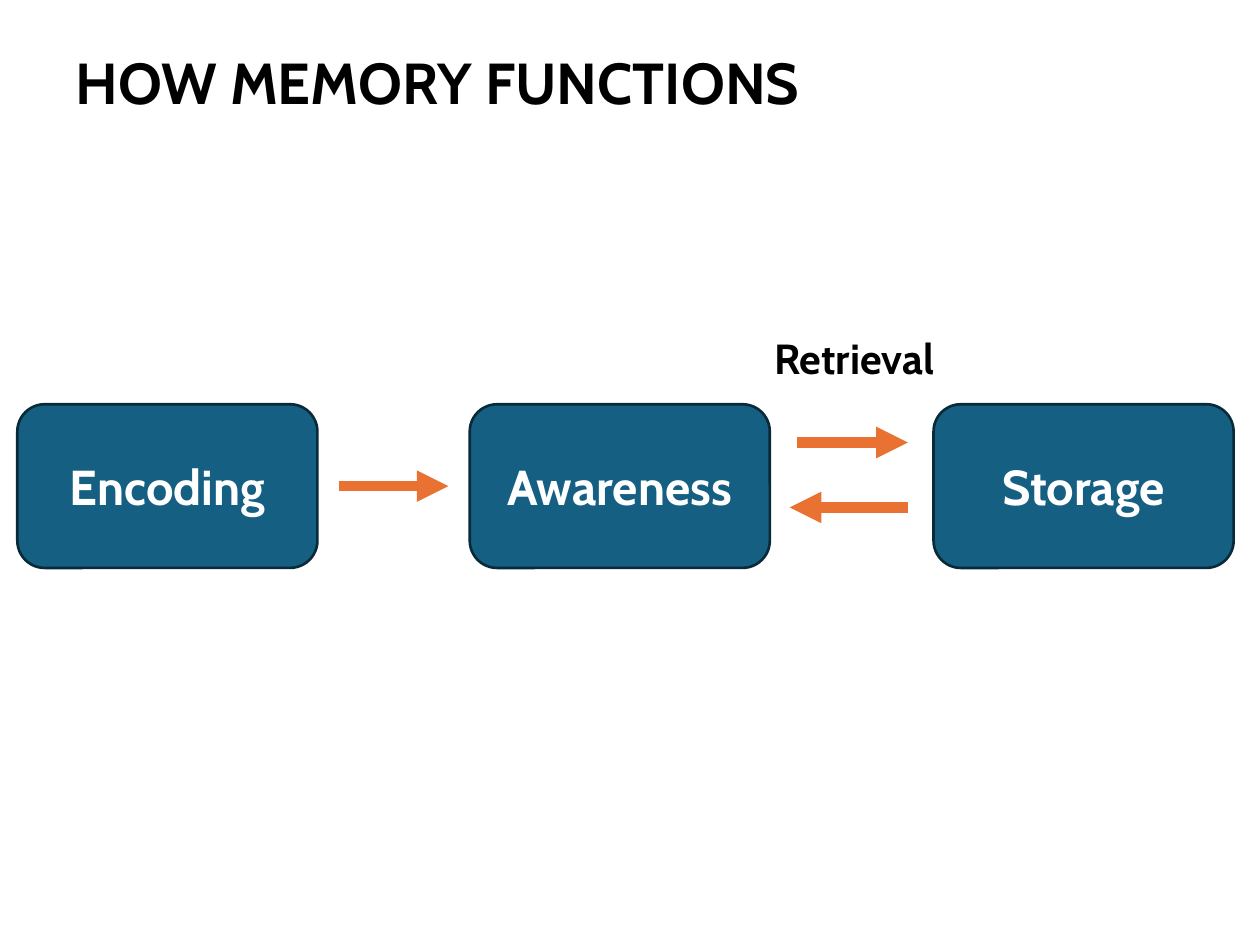
from lxml import etree
from pptx import Presentation
from pptx.dml.color import RGBColor
from pptx.enum.shapes import MSO_CONNECTOR, MSO_SHAPE
from pptx.enum.text import MSO_ANCHOR, PP_ALIGN
from pptx.oxml.ns import qn
from pptx.util import Cm, Pt

FONT = "Cabin"
BLACK, WHITE = "000000", "FFFFFF"
BLUE, NAVY, ORANGE = "156082", "092A39", "E97132"
STAGE_WIDTH, STAGE_HEIGHT = 6.05, 3.3
STAGES = [("Encoding", 0), ("Awareness", 9.12), ("Storage", 18.47)]
# Start and end of each arrow, from the top left corner of the diagram
ARROWS = [
    ((6.48, 1.65), (8.69, 1.65)),
    ((15.72, 0.77), (17.95, 0.77)),
    ((17.95, 2.08), (15.57, 2.08)),
]


def color(hex_string):
    return RGBColor.from_string(hex_string)


def set_text(shape, text, size, hex_color, anchor, alignment=PP_ALIGN.LEFT):
    text_frame = shape.text_frame
    text_frame.word_wrap = True
    text_frame.vertical_anchor = anchor
    text_frame.text = text
    paragraph = text_frame.paragraphs[0]
    paragraph.alignment = alignment
    font = paragraph.runs[0].font
    font.name, font.size, font.bold = FONT, Pt(size), True
    font.color.rgb = color(hex_color)
    return paragraph


def add_label(slide, text, size, left, top, width, height, anchor=MSO_ANCHOR.TOP):
    label = slide.shapes.add_textbox(Cm(left), Cm(top), Cm(width), Cm(height))
    return set_text(label, text, size, BLACK, anchor)


def add_title(slide, left, top, width, height):
    paragraph = add_label(slide, "HOW MEMORY FUNCTIONS", 33,
                          left, top, width, height, MSO_ANCHOR.BOTTOM)
    paragraph.line_spacing = 0.9


def add_stage(slide, text, left, top):
    stage = slide.shapes.add_shape(
        MSO_SHAPE.ROUNDED_RECTANGLE,
        Cm(left), Cm(top), Cm(STAGE_WIDTH), Cm(STAGE_HEIGHT))
    stage.shadow.inherit = False
    stage.fill.solid()
    stage.fill.fore_color.rgb = color(BLUE)
    stage.line.color.rgb = color(NAVY)
    stage.line.width = Pt(1.5)
    set_text(stage, text, 28, WHITE, MSO_ANCHOR.MIDDLE, PP_ALIGN.CENTER)


def add_arrow(slide, start_x, start_y, end_x, end_y):
    arrow = slide.shapes.add_connector(
        MSO_CONNECTOR.STRAIGHT, Cm(start_x), Cm(start_y), Cm(end_x), Cm(end_y))
    arrow.line.color.rgb = color(ORANGE)
    arrow.line.width = Pt(6)
    properties = arrow._element.spPr
    etree.SubElement(properties.find(qn("a:ln")), qn("a:tailEnd"), type="triangle")
    etree.SubElement(properties, qn("a:effectLst"))


def add_memory_diagram(slide, left, top):
    for text, offset in STAGES:
        add_stage(slide, text, left + offset, top)
    for (start_x, start_y), (end_x, end_y) in ARROWS:
        add_arrow(slide, left + start_x, top + start_y, left + end_x, top + end_y)
    add_label(slide, "Retrieval", 24, left + 15.01, top - 1.57, 5.16, 1.27)


def main():
    presentation = Presentation()
    presentation.slide_width, presentation.slide_height = Cm(25.4), Cm(19.05)
    slide = presentation.slides.add_slide(presentation.slide_layouts[6])
    add_title(slide, 1.27, 0.66, 22.4, 1.83)
    add_memory_diagram(slide, 0.35, 8.15)
    presentation.save("out.pptx")


if __name__ == "__main__":
    main()
